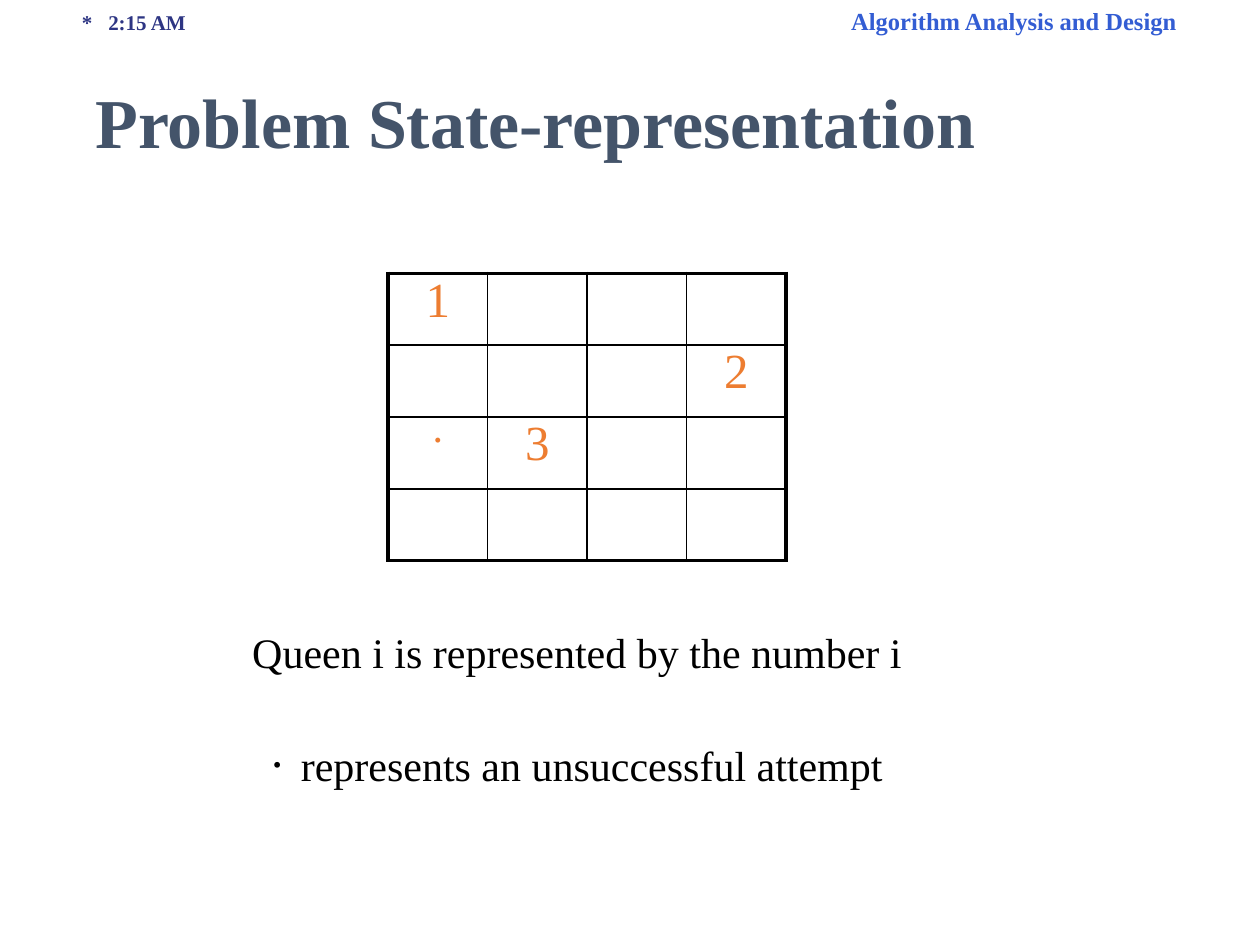
from typing import NamedTuple

from lxml.etree import SubElement
from pptx import Presentation
from pptx.dml.color import RGBColor
from pptx.enum.text import MSO_ANCHOR, PP_ALIGN
from pptx.oxml.ns import qn
from pptx.util import Inches, Pt

FONT = "Times New Roman"
BLACK = RGBColor(0x00, 0x00, 0x00)
NAVY = RGBColor(0x2D, 0x35, 0x83)
BLUE = RGBColor(0x33, 0x5D, 0xD3)
SLATE = RGBColor(0x44, 0x54, 0x6A)
ORANGE = RGBColor(0xED, 0x7D, 0x31)

BOARD_SIZE = 4
CELL_W, CELL_H = 0.79, 0.57
THIN, THICK = 1, 2.25


class Mark(NamedTuple):
    row: int
    col: int
    text: str
    size: int = 28


MARKS = [Mark(0, 0, "1"), Mark(1, 3, "2"), Mark(2, 0, "∙", 24), Mark(2, 1, "3")]


def add_text(p, text: str, *, size: float, color: RGBColor = BLACK,
             bold: bool = False, align=PP_ALIGN.CENTER) -> None:
    p.alignment = align
    r = p.add_run()
    r.text = text
    r.font.name, r.font.size, r.font.bold = FONT, Pt(size), bold
    r.font.color.rgb = color


def add_box(s, left: float, top: float, width: float, height: float,
            anchor=MSO_ANCHOR.TOP):
    tf = s.shapes.add_textbox(*map(Inches, (left, top, width, height))).text_frame
    tf.word_wrap = True
    tf.vertical_anchor = anchor
    return tf


def add_tabs(p, stops: list[tuple[float, str]]) -> None:
    tabs = SubElement(p._p.get_or_add_pPr(), qn("a:tabLst"))
    for pos, align in stops:
        SubElement(tabs, qn("a:tab"), pos=str(Inches(pos)), algn=align)


def set_border(cell, side: str, width: float) -> None:
    ln = SubElement(cell._tc.get_or_add_tcPr(), qn(f"a:ln{side}"), w=str(Pt(width)))
    fill = SubElement(ln, qn("a:solidFill"))
    SubElement(fill, qn("a:srgbClr"), val=str(BLACK))


def add_board(s, left: float, top: float) -> None:
    n, last = BOARD_SIZE, BOARD_SIZE - 1
    table = s.shapes.add_table(n, n, Inches(left), Inches(top),
                               Inches(n * CELL_W), Inches(n * CELL_H)).table
    table.first_row = table.horz_banding = False
    for i in range(n):
        table.columns[i].width = Inches(CELL_W)
        table.rows[i].height = Inches(CELL_H)
    for row in range(n):
        for col in range(n):
            cell = table.cell(row, col)
            cell.margin_left = cell.margin_right = 0
            cell.margin_top = cell.margin_bottom = 0
            # Only the outer edge of the board is thick
            outer = {"L": col == 0, "R": col == last, "T": row == 0, "B": row == last}
            for side, is_outer in outer.items():
                set_border(cell, side, THICK if is_outer else THIN)
            cell.fill.background()
    for mark in MARKS:
        p = table.cell(mark.row, mark.col).text_frame.paragraphs[0]
        add_text(p, mark.text, size=mark.size, color=ORANGE)


def main() -> None:
    prs = Presentation()
    prs.slide_width, prs.slide_height = Inches(10), Inches(7.5)
    s = prs.slides.add_slide(prs.slide_layouts[6])

    # Header: time on the left, course name on a right tab
    tf = add_box(s, 0, 0, 10, 0.33)
    tf.margin_left = Inches(0.65)
    p = tf.paragraphs[0]
    add_text(p, "*\t2:15 AM\t", size=12, color=NAVY, bold=True, align=PP_ALIGN.LEFT)
    add_text(p, "Algorithm Analysis and Design", size=14, color=BLUE, bold=True,
             align=PP_ALIGN.LEFT)
    add_tabs(p, [(0.21, "l"), (8.69, "r")])

    # Legend
    tf = add_box(s, 1.08, 4.92, 7, 2.17)
    add_text(tf.paragraphs[0], "Queen i is represented by the number i", size=24)
    p = tf.add_paragraph()
    p.space_before = Pt(20)
    for text, size in [("∙", 28), (" ", 40), ("represents an unsuccessful attempt", 24)]:
        add_text(p, text, size=size)

    # Title
    tf = add_box(s, 0, 0.33, 8.5, 1.25, MSO_ANCHOR.MIDDLE)
    add_text(tf.paragraphs[0], "Problem State-representation", size=40,
             color=SLATE, bold=True)

    # Chessboard with the queens placed so far
    add_board(s, 3.08, 2.17)

    prs.save("out.pptx")


if __name__ == "__main__":
    main()
